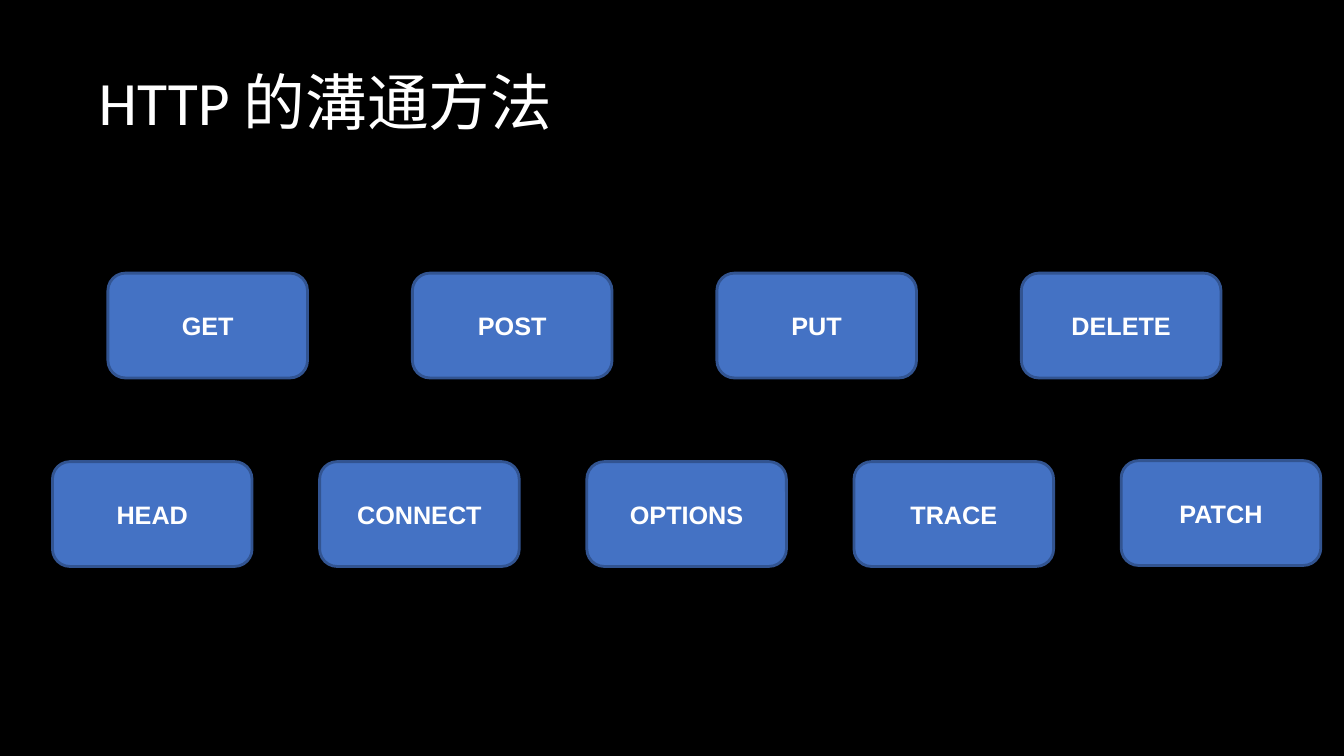
from dataclasses import dataclass

from pptx import Presentation, util as u
from pptx.dml.color import RGBColor
from pptx.enum import shapes, text

# Content
TITLE = "HTTP 的溝通方法"
# Each row: left edge, top edge, column pitch (inches), methods
METHOD_ROWS = [
    (1.07, 2.71, 3.02, ["GET", "POST", "PUT", "DELETE"]),
    (0.52, 4.58, 2.65, ["HEAD", "CONNECT", "OPTIONS", "TRACE", "PATCH"]),
]
NUDGE_UP = {"PATCH": 0.01}
BOX_W, BOX_H = 1.98, 1.04
TITLE_BOX = (0.88, 0.32, 11.58, 1.45)


@dataclass(frozen=True)
class Theme:
    back: RGBColor = RGBColor.from_string("000000")
    ink: RGBColor = RGBColor.from_string("FFFFFF")
    box: RGBColor = RGBColor.from_string("4472C4")
    edge: RGBColor = RGBColor.from_string("325491")
    edge_pt: float = 2
    title_font: str = "Calibri"
    title_pt: int = 44
    box_font: str = "Arial"
    box_pt: int = 18


T = Theme()


def write(shape, words, font, size, bold, align):
    tf = shape.text_frame
    tf.word_wrap = True
    tf.vertical_anchor = text.MSO_ANCHOR.MIDDLE
    p = tf.paragraphs[0]
    p.alignment = align
    r = p.add_run()
    r.text = words
    r.font.name, r.font.size, r.font.bold = font, u.Pt(size), bold
    r.font.color.rgb = T.ink
    return p


def add_title(s):
    sp = s.shapes.add_textbox(*map(u.Inches, TITLE_BOX))
    p = write(sp, TITLE, T.title_font, T.title_pt, False, text.PP_ALIGN.LEFT)
    p.line_spacing = 0.9


def add_method(s, name, left, top):
    sp = s.shapes.add_shape(shapes.MSO_SHAPE.ROUNDED_RECTANGLE,
                            *map(u.Inches, (left, top, BOX_W, BOX_H)))
    sp.shadow.inherit = False
    sp.fill.solid()
    sp.fill.fore_color.rgb = T.box
    sp.line.color.rgb = T.edge
    sp.line.width = u.Pt(T.edge_pt)
    write(sp, name, T.box_font, T.box_pt, True, text.PP_ALIGN.CENTER)


def main():
    prs = Presentation()
    prs.slide_width, prs.slide_height = u.Inches(13.33), u.Inches(7.5)
    s = prs.slides.add_slide(prs.slide_layouts[6])
    s.background.fill.solid()
    s.background.fill.fore_color.rgb = T.back

    # Title, then the rows of methods
    add_title(s)
    for left, top, pitch, names in METHOD_ROWS:
        for col, name in enumerate(names):
            add_method(s, name, left + col * pitch, top - NUDGE_UP.get(name, 0))

    prs.save("out.pptx")


if __name__ == "__main__":
    main()
